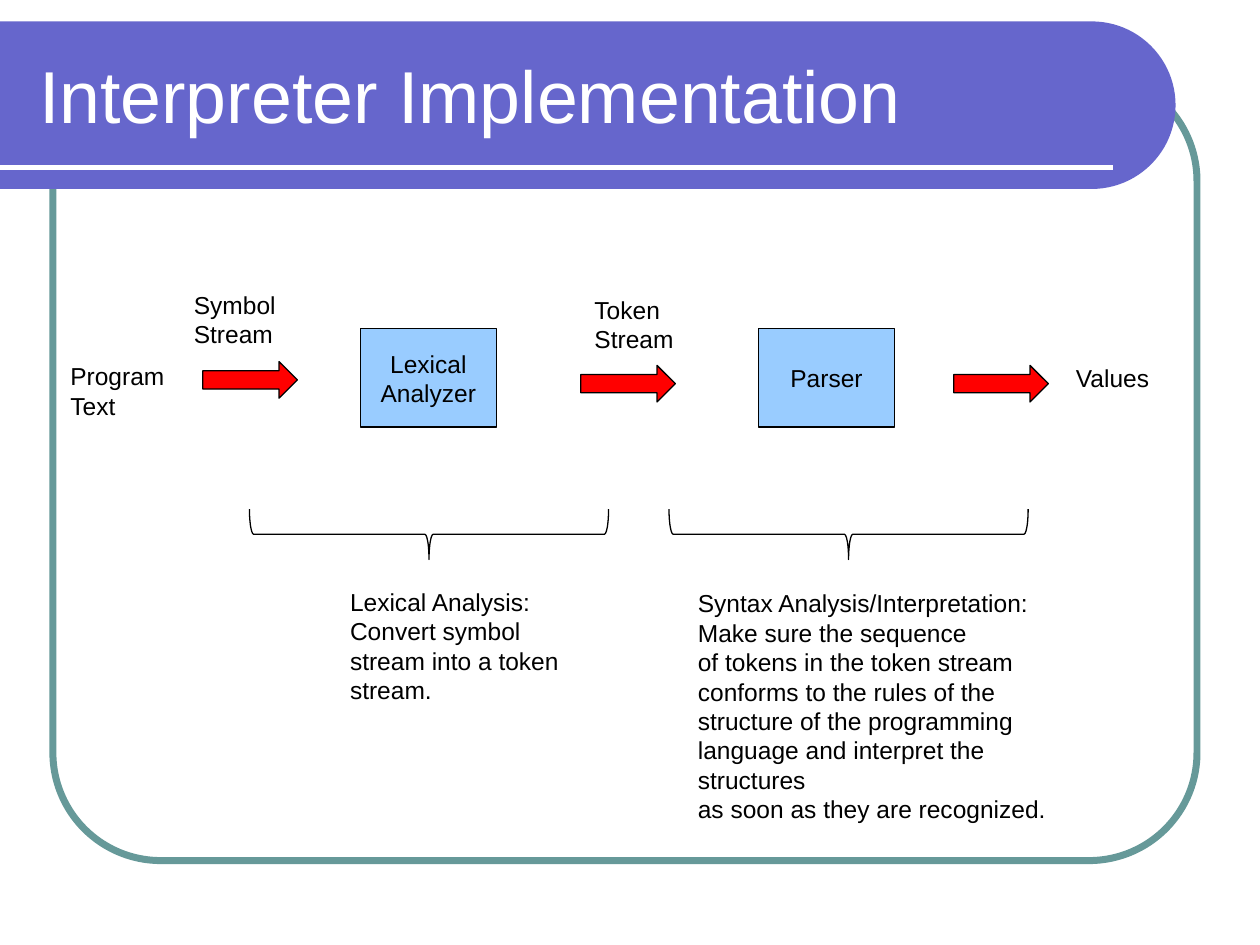
from pptx import Presentation
from pptx.dml.color import RGBColor
from pptx.enum.shapes import MSO_CONNECTOR, MSO_SHAPE
from pptx.enum.text import MSO_ANCHOR, MSO_AUTO_SIZE, PP_ALIGN
from pptx.oxml.ns import qn
from pptx.util import Inches, Pt
from lxml import etree

COLORS = {"frame": "669999", "banner": "6666CC", "rule": "FFFFFF",
          "stage": "99CCFF", "arrow": "FF0000", "ink": "000000"}
FONT = "Arial"

# Content: positions in inches; "\n" starts a paragraph, "\v" a line
TITLE = "Interpreter Implementation"
STAGES = [("Lexical\nAnalyzer", 2.86), ("Parser", 6.02)]
ARROWS = [(1.61, 2.87), (4.61, 2.9), (7.57, 2.9)]
BRACES = [1.98, 5.31]
LABELS = [
    ("Program\nText", 0.46, 2.82, 0.95, 0.57),
    ("Symbol\nStream", 1.44, 2.25, 0.85, 0.57),
    ("Token\nStream", 4.62, 2.29, 0.83, 0.57),
    ("Values", 8.44, 2.83, 0.79, 0.34),
    ("Lexical Analysis:\nConvert symbol \vstream into a token\vstream.",
     2.68, 4.61, 1.86, 1.04),
    ("Syntax Analysis/Interpretation:\n"
     "Make sure the sequence\vof tokens in the token stream\v"
     "conforms to the rules of the\vstructure of the programming\v"
     "language and interpret the structures\vas soon as they are recognized.",
     5.44, 4.62, 3.38, 1.74),
]


def color(name):
    return RGBColor.from_string(COLORS[name])


def add_shape(slide, kind, left, top, width, height, fill=None, line=None, weight=0.75):
    shape = slide.shapes.add_shape(kind, Inches(left), Inches(top), Inches(width), Inches(height))
    shape.shadow.inherit = False
    if fill:
        shape.fill.solid()
        shape.fill.fore_color.rgb = color(fill)
    else:
        shape.fill.background()
    if line:
        shape.line.color.rgb = color(line)
        shape.line.width = Pt(weight)
    else:
        shape.line.fill.background()
    return shape


def set_text(frame, text, align, ink="ink", size=14):
    frame.text = text
    for paragraph in frame.paragraphs:
        paragraph.alignment = align
        paragraph.font.name = FONT
        paragraph.font.size = Pt(size)
        paragraph.font.color.rgb = color(ink)


def add_backdrop(slide):
    frame = add_shape(slide, MSO_SHAPE.ROUNDED_RECTANGLE, 0.42, 0.58, 9.08, 6.25,
                      line="frame", weight=4)
    frame.adjustments[0] = 0.137

    # Banner: a shape rounded at the top, turned so that its round end is right
    length, depth, top = 9.33, 1.33, 0.17
    banner = add_shape(slide, MSO_SHAPE.ROUND_2_SAME_RECTANGLE, (length - depth) / 2,
                       top + (depth - length) / 2, depth, length, fill="banner")
    banner.adjustments[0] = 0.5
    banner.rotation = 90

    rule = slide.shapes.add_connector(MSO_CONNECTOR.STRAIGHT, Inches(0), Inches(1.33),
                                      Inches(8.83), Inches(1.33))
    rule.line.color.rgb = color("rule")
    rule.line.width = Pt(3)
    etree.SubElement(rule._element.spPr, qn("a:effectLst"))


def add_title(slide):
    title = slide.shapes.title
    title.left, title.top, title.width, title.height = map(Inches, (0.21, 0.25, 8.77, 1))
    title.text_frame.vertical_anchor = MSO_ANCHOR.MIDDLE
    set_text(title.text_frame, TITLE, PP_ALIGN.LEFT, "rule", 42)
    slide.shapes._spTree.append(title._element)  # in front of the banner


def add_diagram(slide):
    # Processing stages and the flow between them
    for text, left in STAGES:
        stage = add_shape(slide, MSO_SHAPE.RECTANGLE, left, 2.61, 1.08, 0.78, "stage", "ink")
        stage.text_frame.vertical_anchor = MSO_ANCHOR.MIDDLE
        stage.text_frame.word_wrap = False
        set_text(stage.text_frame, text, PP_ALIGN.CENTER)
    for left, top in ARROWS:
        add_shape(slide, MSO_SHAPE.RIGHT_ARROW, left, top, 0.75, 0.29, "arrow", "ink")

    # Braces: left braces turned to point down
    span, depth, top = 2.85, 0.4, 4.04
    for left in BRACES:
        brace = add_shape(slide, MSO_SHAPE.LEFT_BRACE, left + (span - depth) / 2,
                          top + (depth - span) / 2, depth, span, line="ink")
        brace.rotation = 270

    # Labels and explanations
    for text, *box in LABELS:
        label = slide.shapes.add_textbox(*map(Inches, box))
        label.text_frame.word_wrap = False
        label.text_frame.auto_size = MSO_AUTO_SIZE.SHAPE_TO_FIT_TEXT
        set_text(label.text_frame, text, PP_ALIGN.LEFT)


def main():
    deck = Presentation()
    deck.slide_width, deck.slide_height = Inches(10), Inches(7.5)
    slide = deck.slides.add_slide(deck.slide_layouts[5])
    add_backdrop(slide)
    add_title(slide)
    add_diagram(slide)
    deck.save("out.pptx")


if __name__ == "__main__":
    main()
